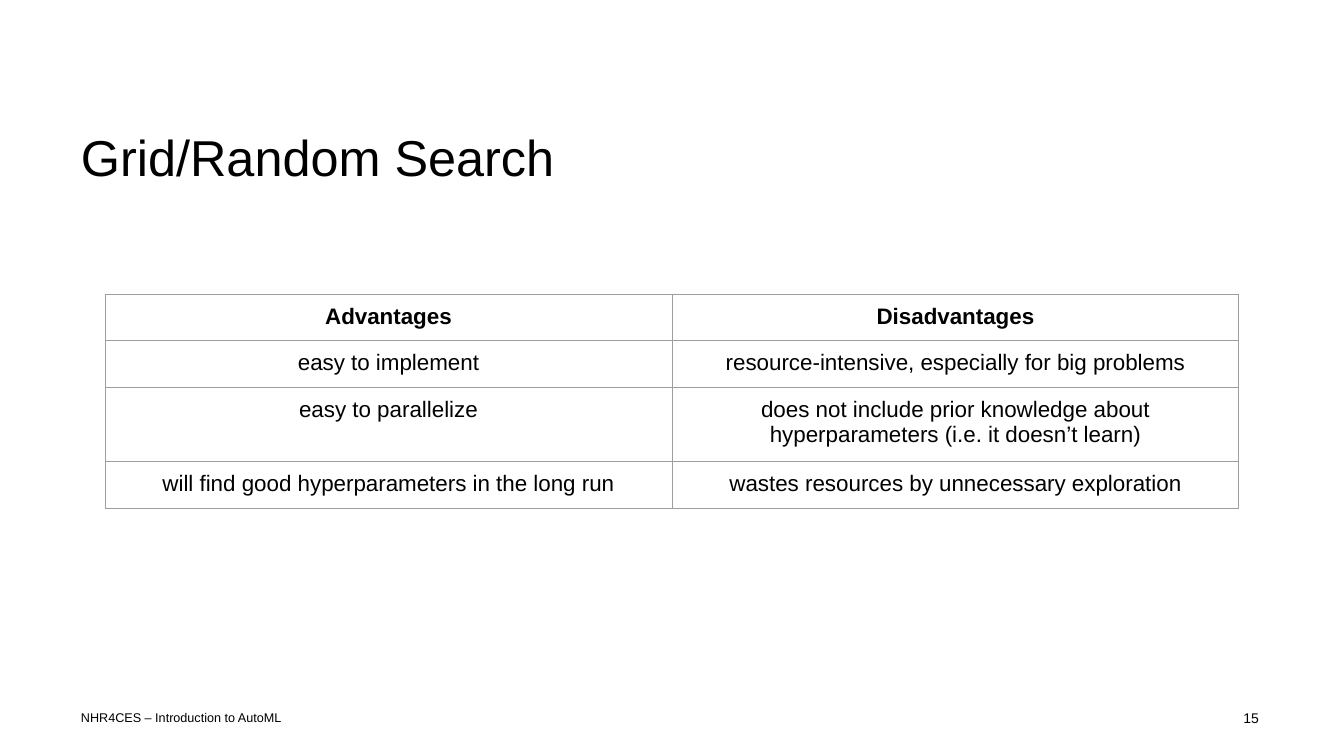
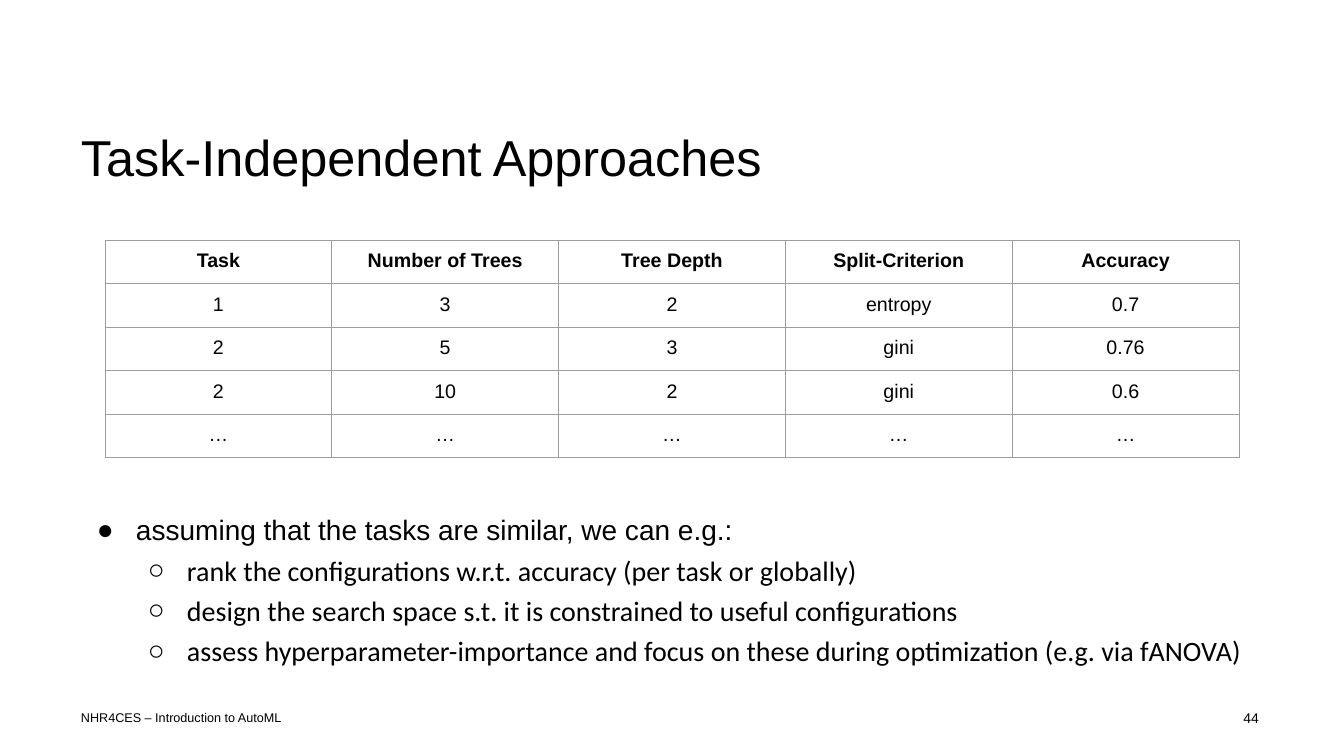
from pptx import Presentation
from pptx.dml.color import RGBColor
from pptx.enum.text import MSO_ANCHOR, PP_ALIGN
from pptx.oxml import parse_xml
from pptx.oxml.ns import nsdecls
from pptx.util import Pt

SCALE = 12192000 / 1344
SLIDE_W, SLIDE_H = 1344, 756
COLORS = {"text": "000000", "grid": "9E9E9E"}
FONT = "Arial"
FOOTER = "NHR4CES – Introduction to AutoML"
FOOTER_INSETS = (0, 4, 4, 0)
BODY_INSETS = (0, 0, 20, 0)
TITLE_FORMAT = {"line_spacing": 1.17, "space_after": Pt(12)}
BULLETS = {
    0: {"char": "●", "left": 50, "line_spacing": 1.5, "font": "Arial"},
    1: {"char": "○", "left": 101, "line_spacing": 1.2, "font": "Calibri"},
}
HANGING = 39
TABLE_LEFT, TABLE_W = 105, 1134

SEARCH_ROWS = [
    ["Advantages", "Disadvantages"],
    ["easy to implement", "resource-intensive, especially for big problems"],
    ["easy to parallelize",
     "does not include prior knowledge about hyperparameters (i.e. it doesn’t learn)"],
    ["will find good hyperparameters in the long run",
     "wastes resources by unnecessary exploration"],
]
TASK_ROWS = [
    ["Task", "Number of Trees", "Tree Depth", "Split-Criterion", "Accuracy"],
    ["1", "3", "2", "entropy", "0.7"],
    ["2", "5", "3", "gini", "0.76"],
    ["2", "10", "2", "gini", "0.6"],
    ["…"] * 5,
]
TASK_POINTS = [
    (0, "assuming that the tasks are similar, we can e.g.:"),
    (1, "rank the configurations w.r.t. accuracy (per task or globally)"),
    (1, "design the search space s.t. it is constrained to useful configurations"),
    (1, "assess hyperparameter-importance and focus on these during optimization "
        "(e.g. via fANOVA)"),
]


def px(n):
    return round(n * SCALE)


def set_attrs(obj, values):
    for name, value in values.items():
        setattr(obj, name, value)


def set_insets(obj, insets):
    sides = ("margin_left", "margin_top", "margin_right", "margin_bottom")
    set_attrs(obj, dict(zip(sides, map(px, insets))))


def add_run(p, text, size, font=FONT, bold=False):
    r = p.add_run()
    r.text = text
    set_attrs(r.font, {"name": font, "size": Pt(size), "bold": bold})
    r.font.color.rgb = RGBColor.from_string(COLORS["text"])


def add_frame(s, box, insets):
    tf = s.shapes.add_textbox(*map(px, box)).text_frame
    set_attrs(tf, {"word_wrap": True, "vertical_anchor": MSO_ANCHOR.TOP})
    set_insets(tf, insets)
    return tf


def add_text(s, box, text, size, insets, fmt):
    p = add_frame(s, box, insets).paragraphs[0]
    set_attrs(p, fmt)
    add_run(p, text, size)


def add_bullets(s, box, points, size):
    tf = add_frame(s, box, BODY_INSETS)
    for i, (level, text) in enumerate(points):
        p = tf.add_paragraph() if i else tf.paragraphs[0]
        style = BULLETS[level]
        pPr = p._p.get_or_add_pPr()
        pPr.set("marL", str(px(style["left"])))
        pPr.set("indent", str(-px(HANGING)))
        pPr.append(parse_xml(
            f'<a:buClr {nsdecls("a")}><a:srgbClr val="{COLORS["text"]}"/></a:buClr>'))
        pPr.append(parse_xml(f'<a:buFont {nsdecls("a")} typeface="{FONT}"/>'))
        pPr.append(parse_xml(f'<a:buChar {nsdecls("a")} char="{style["char"]}"/>'))
        set_attrs(p, {"level": level, "line_spacing": style["line_spacing"]})
        add_run(p, text, size, style["font"])


def set_borders(cell):
    tcPr = cell._tc.get_or_add_tcPr()
    for i, side in enumerate(("lnL", "lnR", "lnT", "lnB")):
        tcPr.insert(i, parse_xml(
            f'<a:{side} {nsdecls("a")} w="{Pt(0.75)}"><a:solidFill>'
            f'<a:srgbClr val="{COLORS["grid"]}"/></a:solidFill></a:{side}>'))


def add_grid(s, top, rows, heights, size):
    n_cols = len(rows[0])
    frame = s.shapes.add_table(len(rows), n_cols, px(TABLE_LEFT), px(top),
                               px(TABLE_W), px(sum(heights)))
    table = frame.table
    set_attrs(table, {"first_row": False, "horz_banding": False})
    for col in table.columns:
        col.width = px(TABLE_W / n_cols)
    for i, (row, height) in enumerate(zip(rows, heights)):
        table.rows[i].height = px(height)
        for j, text in enumerate(row):
            cell = table.cell(i, j)
            cell.fill.background()
            set_insets(cell, (10, 10, 10, 10))
            set_borders(cell)
            p = cell.text_frame.paragraphs[0]
            p.alignment = PP_ALIGN.CENTER
            add_run(p, text, size, bold=i == 0)


def add_slide(prs, title, number):
    s = prs.slides.add_slide(prs.slide_layouts[6])
    add_text(s, (81, 706, 348, 19), FOOTER, 9, FOOTER_INSETS, {})
    add_text(s, (1221, 706, 42, 28), str(number), 10, FOOTER_INSETS,
             {"alignment": PP_ALIGN.RIGHT})
    add_text(s, (81, 116, 1182, 109), title, 36, BODY_INSETS, TITLE_FORMAT)
    return s


def main():
    prs = Presentation()
    set_attrs(prs, {"slide_width": px(SLIDE_W), "slide_height": px(SLIDE_H)})

    s = add_slide(prs, "Grid/Random Search", 15)
    add_grid(s, 294, SEARCH_ROWS, [45, 45, 69, 45], 16)

    s = add_slide(prs, "Task-Independent Approaches", 44)
    add_grid(s, 240, TASK_ROWS, [42] * len(TASK_ROWS), 14)
    add_bullets(s, (86, 496, 1182, 172), TASK_POINTS, 20)

    prs.save("out.pptx")


if __name__ == "__main__":
    main()
